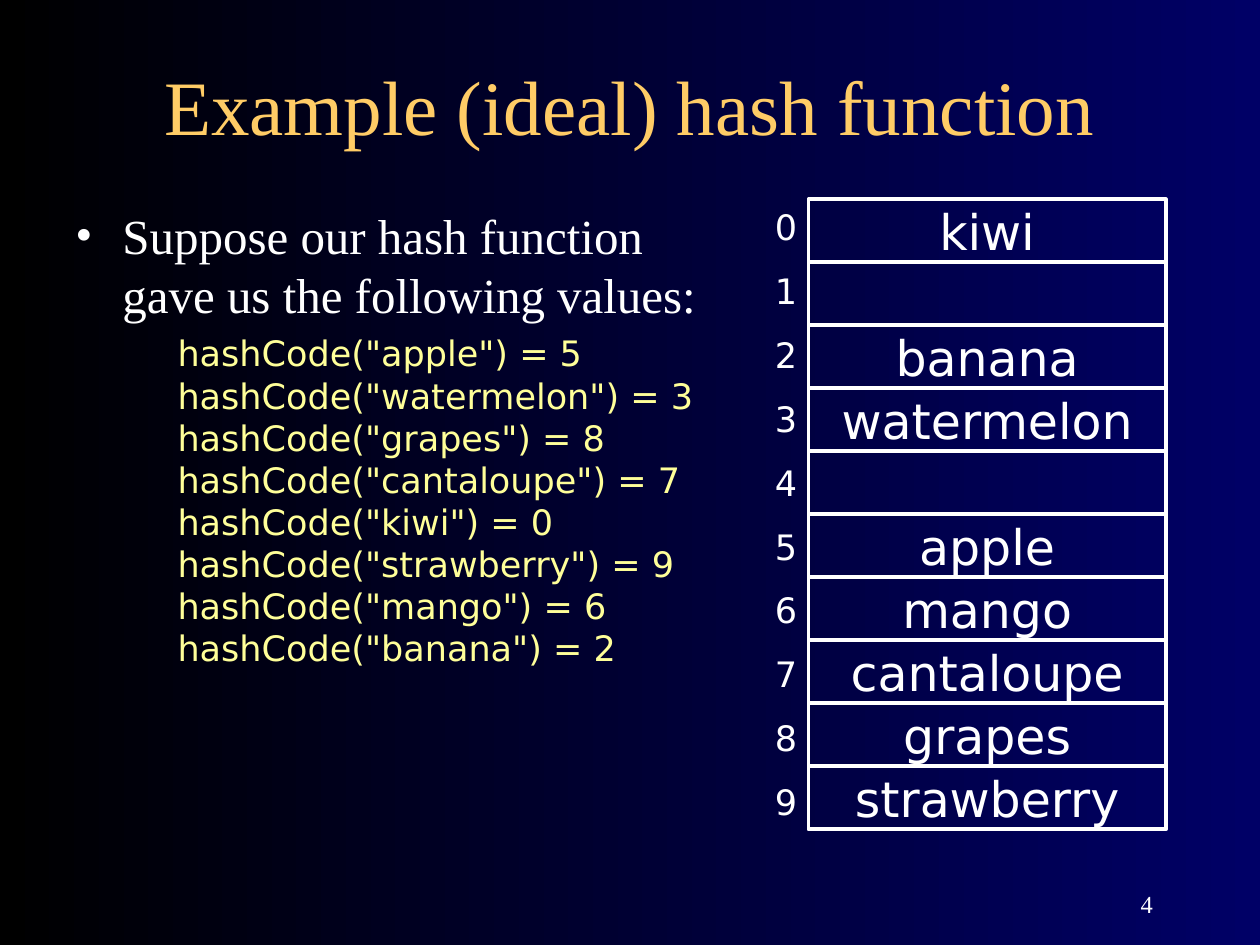
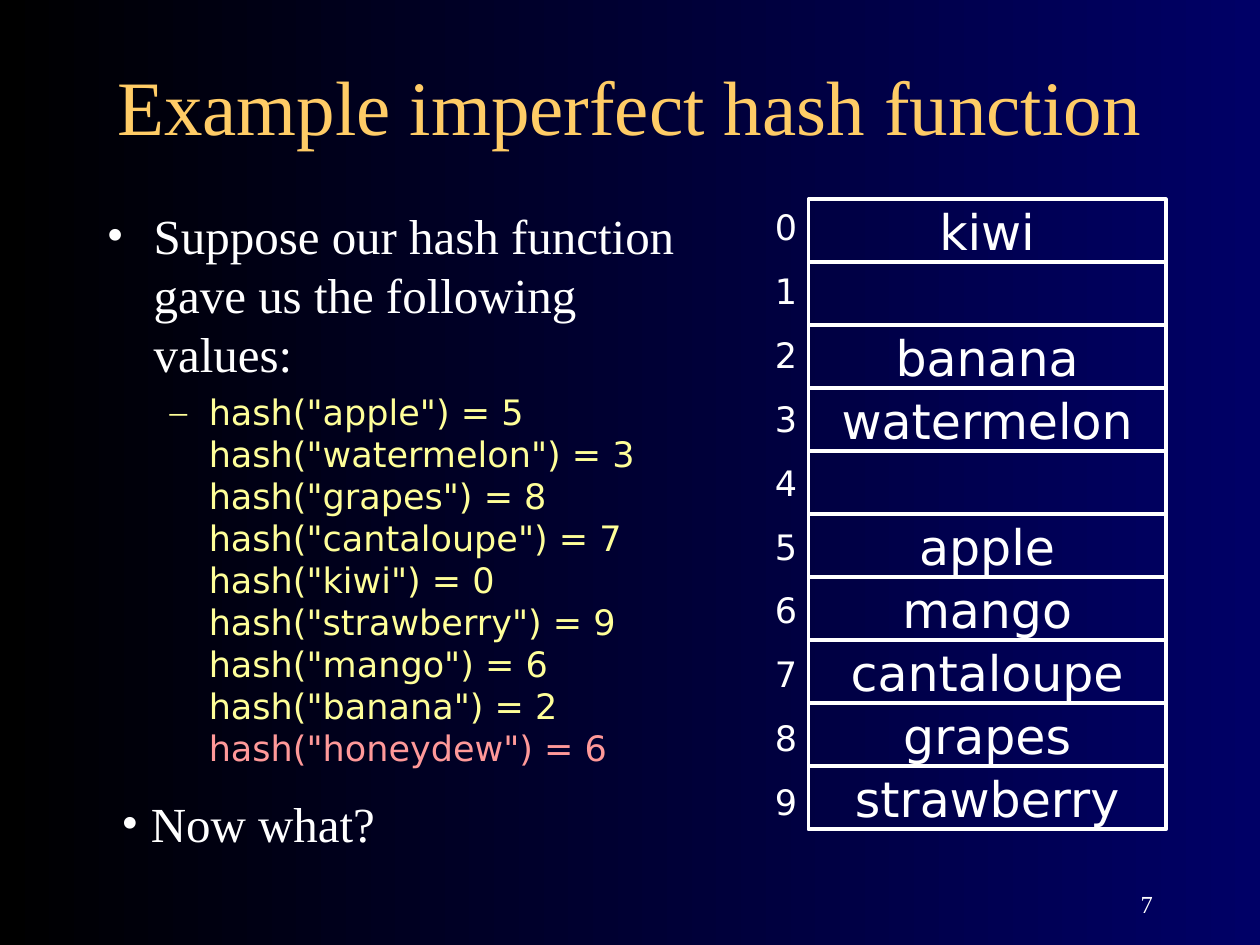
from lxml.etree import SubElement
from pptx import Presentation
from pptx.dml.color import RGBColor
from pptx.enum.shapes import MSO_SHAPE
from pptx.enum.text import MSO_ANCHOR, MSO_AUTO_SIZE, PP_ALIGN
from pptx.oxml.ns import qn
from pptx.util import Cm, Pt

SERIF, SANS = "Times New Roman", "DejaVu Sans"
WHITE, GOLD, YELLOW, PINK = "FFFFFF", "FFCC66", "FFFF99", "FF9999"
NAVY, BLACK = "000066", "000000"
TITLE = (1.9, 1.06, 21.59, 2.12)
TABLE = (15.37, 4.02, 8.13, 12.7)
NUMBER = (18.2, 17.36, 5.29, 1.27)
SLOTS = ["kiwi", "", "banana", "watermelon", "", "apple", "mango",
         "cantaloupe", "grapes", "strawberry"]
CALLS = ["apple", "watermelon", "grapes", "cantaloupe", "kiwi",
         "strawberry", "mango", "banana"]
LEAD = "Suppose our hash function gave us the following values:"


def color(code):
    return RGBColor.from_string(code)


def write(para, text, size, face, tint=WHITE):
    run = para.add_run()
    run.text = text
    font = run.font
    font.size, font.name = Pt(size), face
    font.color.rgb = color(tint)


def indent(para, left, first, mark=None, tint=WHITE):
    props = para._p.get_or_add_pPr()
    props.set("marL", str(Cm(left)))
    props.set("indent", str(Cm(first)))
    if mark:
        fill = SubElement(props, qn("a:buClr"))
        SubElement(fill, qn("a:srgbClr"), val=tint)
        SubElement(props, qn("a:buFont"), typeface=SERIF)
        SubElement(props, qn("a:buChar"), char=mark)


def frame(shapes, box, wrap=True):
    text = shapes.add_textbox(*map(Cm, box)).text_frame
    text.word_wrap = wrap
    return text


def head(slide, text):
    title = slide.shapes.title
    title.left, title.top, title.width, title.height = map(Cm, TITLE)
    body = title.text_frame
    body.auto_size = MSO_AUTO_SIZE.NONE
    body.vertical_anchor = MSO_ANCHOR.MIDDLE
    para = body.paragraphs[0]
    para.alignment = PP_ALIGN.CENTER
    write(para, text, 44, SERIF, GOLD)


def values(slide, box, name, mark=None, clash=None):
    body = frame(slide.shapes, box)
    lead = body.paragraphs[0]
    indent(lead, 0.95, -0.95, "•")
    write(lead, LEAD, 28, SERIF)
    para = body.add_paragraph()
    indent(para, 2.06, -0.79 if mark else 0, mark, YELLOW)
    para.space_before = Pt(5)
    for spot, key in enumerate(CALLS + ([clash] if clash else [])):
        if spot:
            para.add_line_break()
        code = SLOTS.index("mango" if key == clash else key)
        write(para, f'{name}("{key}") = {code}', 20, SANS,
              PINK if key == clash else YELLOW)


def table(slide, box):
    left, top, width, height = box
    side, row = 0.93, height / len(SLOTS)
    group = slide.shapes.add_group_shape().shapes
    for spot, word in enumerate(SLOTS):
        cell = group.add_shape(
            MSO_SHAPE.FLOWCHART_PROCESS, Cm(left + side),
            Cm(top + spot * row), Cm(width - side), Cm(row))
        cell.shadow.inherit = False
        cell.fill.background()
        cell.line.color.rgb = color(WHITE)
        cell.line.width = Pt(2.25)
        if word:
            text = cell.text_frame
            text.word_wrap = False
            text.vertical_anchor = MSO_ANCHOR.MIDDLE
            para = text.paragraphs[0]
            para.alignment = PP_ALIGN.CENTER
            write(para, word, 28, SANS)
    marks = frame(group, (left, top, side, height), False)
    for spot in range(len(SLOTS)):
        para = marks.add_paragraph() if spot else marks.paragraphs[0]
        if spot:
            para.space_before = Pt(12.5)
        write(para, str(spot), 20, SANS)


def query(slide, box):
    para = frame(slide.shapes, box).paragraphs[0]
    indent(para, 0.59, -0.59, "•")
    write(para, "Now what?", 28, SERIF)


def number(slide, box, page):
    text = frame(slide.shapes, box)
    text.vertical_anchor = MSO_ANCHOR.BOTTOM
    para = text.paragraphs[0]
    para.alignment = PP_ALIGN.RIGHT
    write(para, str(page), 14, SERIF)


def backdrop(deck):
    fill = deck.slide_master.background.fill
    fill.gradient()
    fill.gradient_angle = 180
    for stop, tint, place in zip(fill.gradient_stops, (NAVY, BLACK), (0, 1)):
        stop.color.rgb = color(tint)
        stop.position = place


def page(deck, title, num):
    slide = deck.slides.add_slide(deck.slide_layouts[5])
    head(slide, title)
    table(slide, TABLE)
    number(slide, NUMBER, num)
    return slide


def main():
    deck = Presentation()
    deck.slide_width, deck.slide_height = Cm(25.4), Cm(19.05)
    backdrop(deck)
    ideal = page(deck, "Example (ideal) hash function", 4)
    values(ideal, (1.27, 4.02, 13.55, 12.91), "hashCode")
    flawed = page(deck, "Example imperfect hash function", 7)
    values(flawed, (1.9, 4.02, 12.91, 11.85), "hash", "–", "honeydew")
    query(flawed, (2.2, 15.88, 5.62, 1.44))
    deck.save("out.pptx")


if __name__ == "__main__":
    main()
